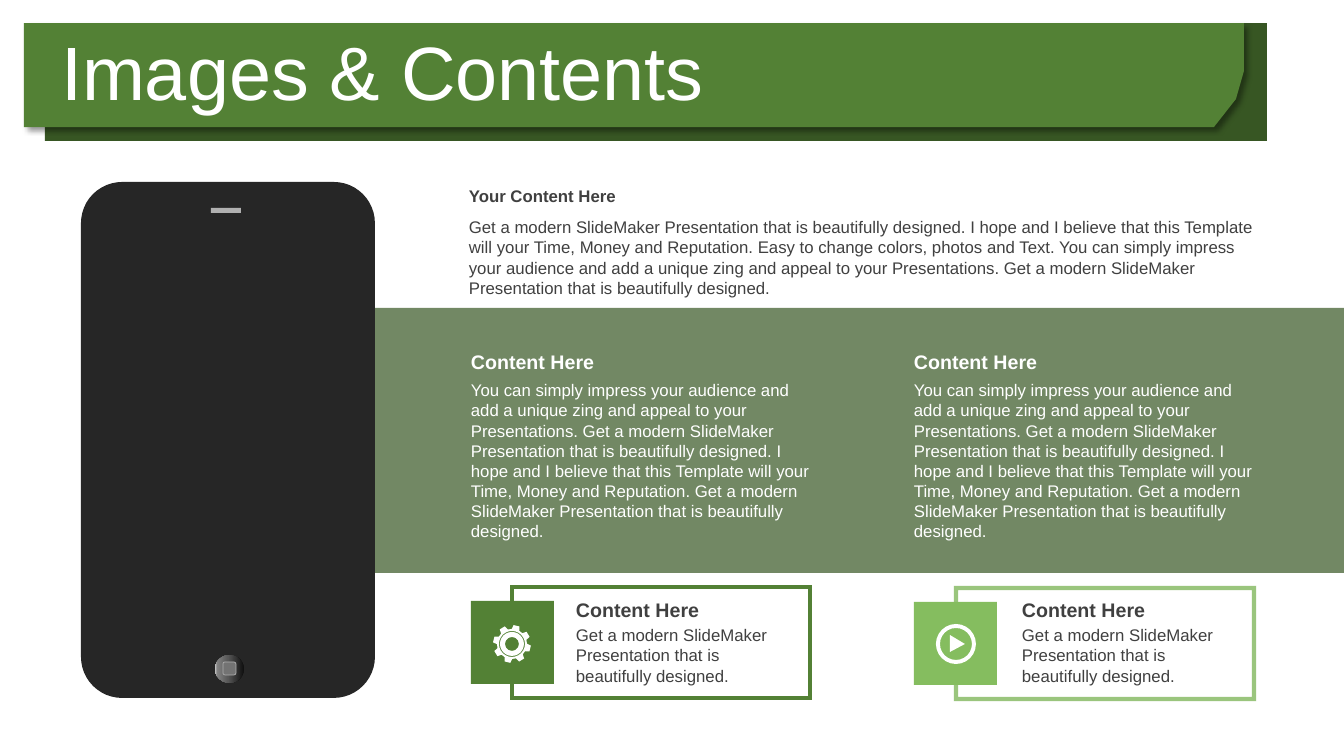
from math import cos, radians, sin

from lxml.etree import Element, SubElement
from pptx import Presentation
from pptx.dml.color import RGBColor
from pptx.enum.shapes import MSO_SHAPE as Shape
from pptx.enum.text import MSO_ANCHOR as Anchor, MSO_AUTO_SIZE as AutoSize, PP_ALIGN as Align
from pptx.oxml.ns import qn
from pptx.util import Pt

PX = 914400 / 100.8
FONT = "Arial"
WHITE = RGBColor(0xFF, 0xFF, 0xFF)
TEXT = RGBColor(0x40, 0x40, 0x40)
DARK_GREEN = RGBColor(0x37, 0x56, 0x23)
GREEN = RGBColor(0x53, 0x81, 0x35)
LIGHT_GREEN = RGBColor(0x85, 0xBD, 0x5F)
FRAME_GREEN = RGBColor(0x70, 0xAD, 0x47)
PHONE_BLACK = RGBColor(0x26, 0x26, 0x26)
KEY_GREY = RGBColor(0x73, 0x73, 0x73)
SILVER = RGBColor(0xB0, 0xB0, 0xB0)

INTRO = ("Get a modern SlideMaker Presentation that is beautifully designed. "
         "I hope and I believe that this Template will your Time, Money and Reputation. "
         "Easy to change colors, photos and Text. You can simply impress your audience "
         "and add a unique zing and appeal to your Presentations. "
         "Get a modern SlideMaker Presentation that is beautifully designed.")
COLUMN = ("You can simply impress your audience and add a unique zing and appeal to your "
          "Presentations. Get a modern SlideMaker Presentation that is beautifully designed. "
          "I hope and I believe that this Template will your Time, Money and Reputation. "
          "Get a modern SlideMaker Presentation that is beautifully designed.")
CARD = "Get a modern SlideMaker Presentation that is beautifully designed."

prs = Presentation()
prs.slide_width, prs.slide_height = round(1344 * PX), round(756 * PX)
slide = prs.slides.add_slide(prs.slide_layouts[5])
shapes = slide.shapes


def add_outline(polygon, color, center=(0, 0), radii=()):
    """Draw a polygon and concentric circles, in px, as one shape with even-odd holes."""
    x, y = center
    diamonds = [[(x + r, y), (x, y + r), (x - r, y), (x, y - r)] for r in radii]
    builder = shapes.build_freeform(*(v * PX for v in polygon[0]))
    for contour in [polygon, *diamonds]:
        points = [(px * PX, py * PX) for px, py in contour]
        if contour is not polygon:
            builder.move_to(*points[0])
        builder.add_line_segments(points[1:], close=True)
    outline = builder.convert_to_shape()
    outline.shadow.inherit = False
    outline.fill.solid()
    outline.fill.fore_color.rgb = color
    outline.line.fill.background()
    # Round each diamond into a circle of two half-turn arcs
    closes = list(outline.element.spPr.iter(qn("a:close")))[1:]
    for close, r in zip(closes, radii):
        for _ in range(3):
            close.getparent().remove(close.getprevious())
        for start in ("0", "10800000"):
            size = str(round(r * PX))
            close.addprevious(Element(qn("a:arcTo"), wR=size, hR=size,
                                      stAng=start, swAng="10800000"))
    return outline


def add_text(box, text, size, color, bold=False, anchor=Anchor.TOP):
    frame = shapes.add_textbox(*(round(v * PX) for v in box)).text_frame
    frame.word_wrap = True
    frame.auto_size = AutoSize.SHAPE_TO_FIT_TEXT
    frame.vertical_anchor = anchor
    paragraph = frame.paragraphs[0]
    paragraph.text = text
    font = paragraph.font
    font.name, font.size, font.bold = FONT, Pt(size), bold
    font.color.rgb = color


# Band, phone, banner and cards, from back to front
blocks = []
for preset, box, fill, line, width in [
    (Shape.RECTANGLE, (375, 308, 969, 265), DARK_GREEN, None, 0),
    (Shape.ROUNDED_RECTANGLE, (81, 182, 294, 516), PHONE_BLACK, None, 0),
    (Shape.RECTANGLE, (211, 208, 30, 5), SILVER, None, 0),
    (Shape.OVAL, (215, 655, 29, 28), PHONE_BLACK, None, 0),
    (Shape.ROUNDED_RECTANGLE, (223, 662, 13, 13), KEY_GREY, SILVER, 0.5),
    (Shape.RECTANGLE, (45, 23, 1222, 118), DARK_GREEN, None, 0),
    (Shape.RECTANGLE, (956, 588, 298, 111), None, FRAME_GREEN, 3),
    (Shape.RECTANGLE, (512, 587, 298, 111), None, GREEN, 3),
    (Shape.RECTANGLE, (471, 601, 83, 83), GREEN, None, 0),
    (Shape.RECTANGLE, (914, 602, 83, 83), LIGHT_GREEN, None, 0),
]:
    block = shapes.add_shape(preset, *(round(v * PX) for v in box))
    block.shadow.inherit = False
    if fill is None:
        block.fill.background()
    else:
        block.fill.solid()
        block.fill.fore_color.rgb = fill
    if line is None:
        block.line.fill.background()
    else:
        block.line.color.rgb = line
        block.line.width = Pt(width)
        SubElement(block.element.spPr.find(qn("a:ln")), qn("a:miter"), lim="800000")
    blocks.append(block)

band, phone, home_button, play_frame = blocks[0], blocks[1], blocks[3], blocks[6]
phone.adjustments[0] = 0.14
for see_through in (band, play_frame):
    color = see_through.element.spPr.find(".//" + qn("a:srgbClr"))
    SubElement(color, qn("a:alpha"), val="70000")

home_button.fill.gradient()
home_button.fill.gradient_angle = 180
stops = home_button.element.spPr.find(".//" + qn("a:gsLst"))
for stop in list(stops):
    stops.remove(stop)
for percent, shade in [(0, "0F0F0F"), (56, "595959"), (91, "808080"), (100, "BFBFBF")]:
    stop = SubElement(stops, qn("a:gs"), pos=str(percent * 1000))
    SubElement(stop, qn("a:srgbClr"), val=shade)

banner = add_outline(
    [(24, 23), (1244, 23), (1244, 71), (1236, 99), (1214, 127), (24, 127)], GREEN)
effects = banner.element.spPr.find(qn("a:effectLst"))
shadow = SubElement(effects, qn("a:outerShdw"), blurRad=str(Pt(4)), dist=str(Pt(3)),
                    dir="2700000", algn="tl", rotWithShape="0")
shadow_color = SubElement(shadow, qn("a:srgbClr"), val="000000")
SubElement(shadow_color, qn("a:alpha"), val="40000")

title = shapes.title
title.left, title.top, title.width, title.height = (
    round(v * PX) for v in (51, 36, 1107, 80))
title_frame = title.text_frame
title_frame.word_wrap = True
title_frame.auto_size = AutoSize.NONE
title_frame.vertical_anchor = Anchor.MIDDLE
heading = title_frame.paragraphs[0]
heading.text = "Images & Contents"
heading.alignment = Align.LEFT
heading.line_spacing = 0.9
heading.font.name, heading.font.size = FONT, Pt(54)
heading.font.color.rgb = WHITE
shapes.element.append(title.element)  # bring in front of the banner

add_text((459, 181, 816, 30), "Your Content Here", 12, TEXT, bold=True)
add_text((459, 212, 816, 92), INTRO, 12, TEXT)
for column_x, card_x in [(461, 566), (904, 1012)]:
    add_text((column_x, 345, 361, 34), "Content Here", 14, WHITE, True, Anchor.MIDDLE)
    add_text((column_x, 375, 361, 173), COLUMN, 12, WHITE)
    add_text((card_x, 593, 231, 34), "Content Here", 14, TEXT, True, Anchor.MIDDLE)
    add_text((card_x, 620, 231, 72), CARD, 12, TEXT)

# Play and gear icons
ICON_Y = 644
PLAY_X, GEAR_X = 956, 512
gear_teeth = []
for tooth in range(8):
    for offset, radius in [(-15, 15), (-9, 19), (9, 19), (15, 15)]:
        angle = radians(45 * tooth + 14 + offset)
        gear_teeth.append((GEAR_X + radius * cos(angle), ICON_Y + radius * sin(angle)))
play_arrow = [(950, 635), (965, 644), (950, 652)]
add_outline(play_arrow, WHITE, (PLAY_X, ICON_Y), (16, 20))
add_outline(gear_teeth, WHITE, (GEAR_X, ICON_Y), (7, 12, 13))

prs.save("out.pptx")
